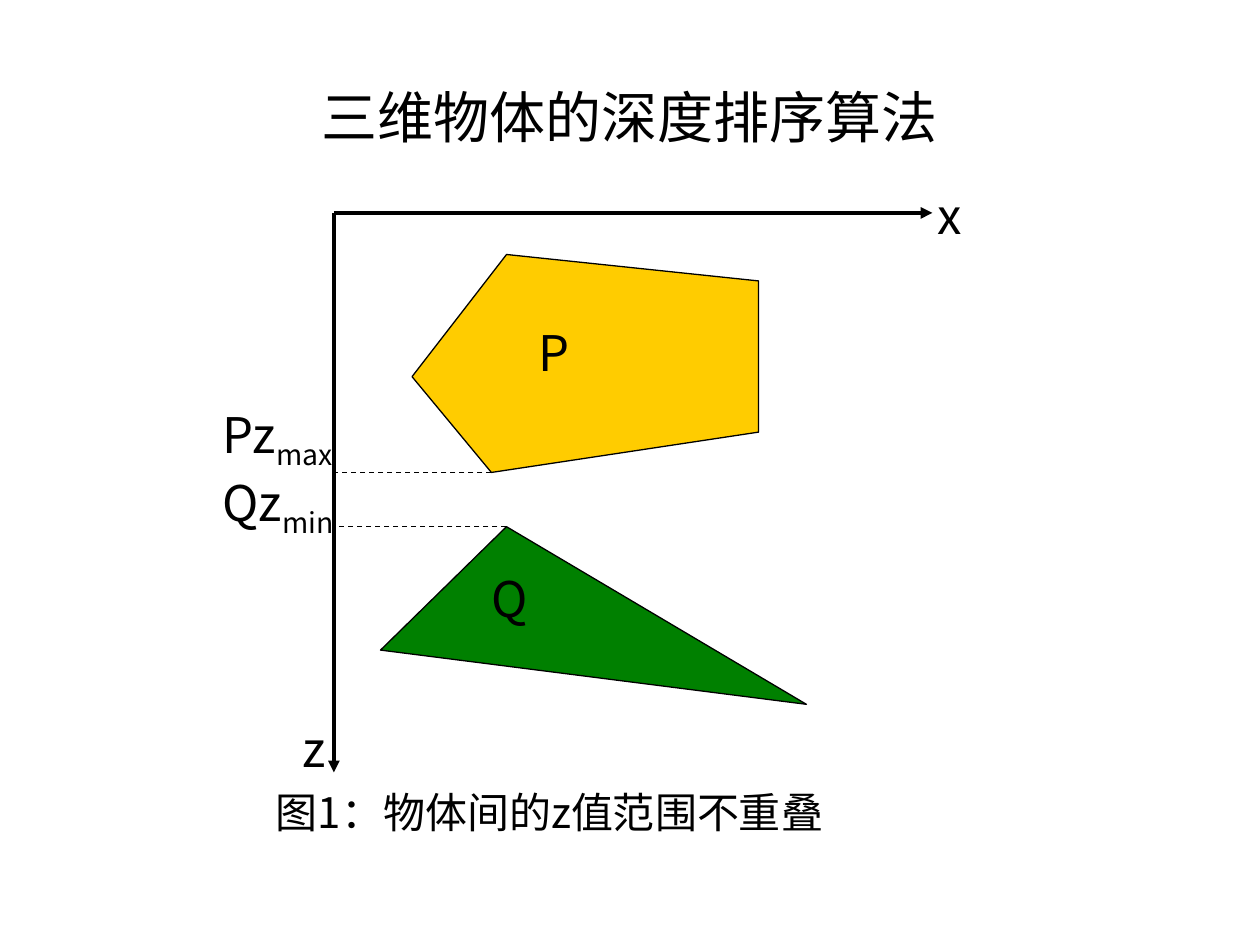
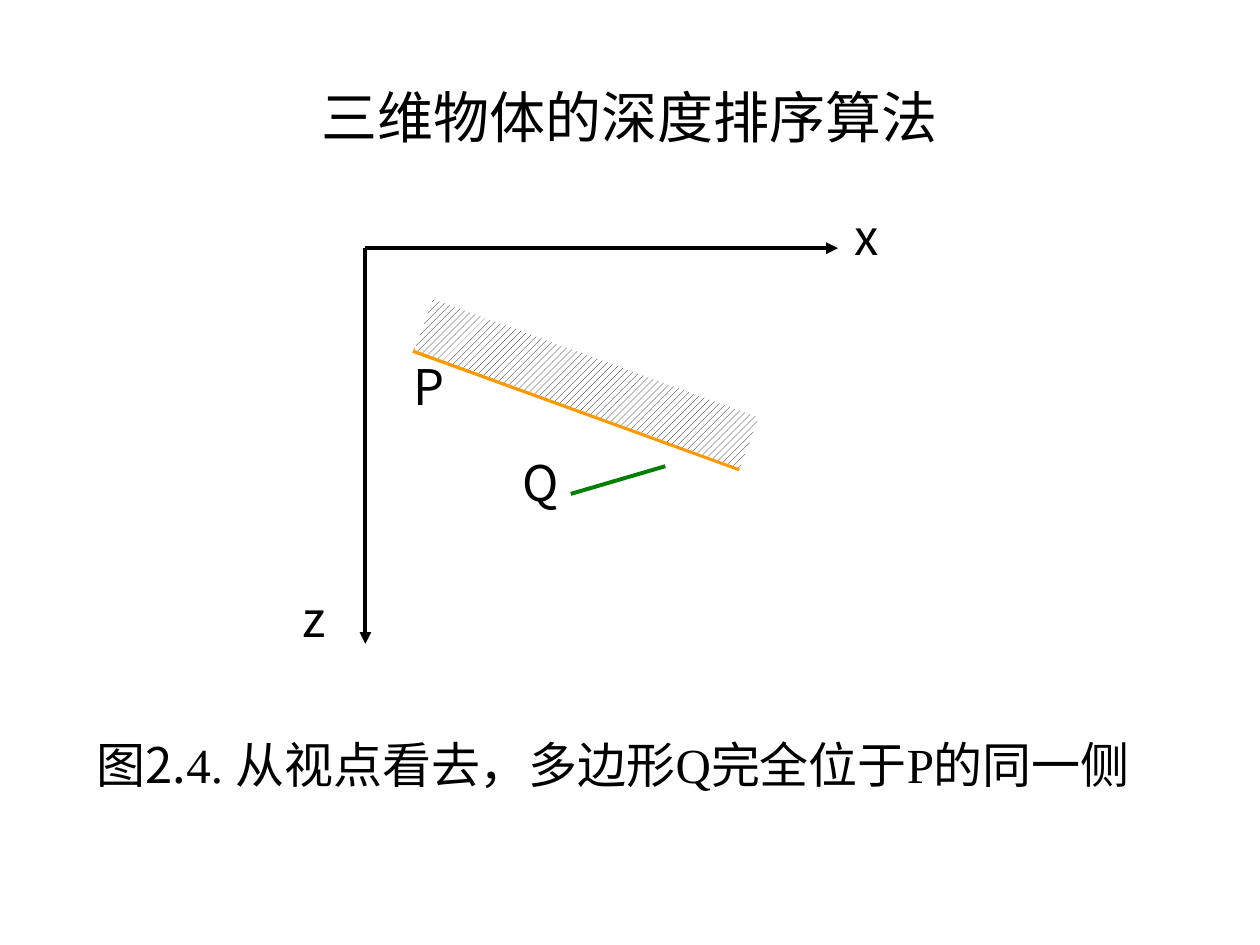
from pptx import Presentation
from pptx import util as u
from pptx.dml.color import RGBColor
from pptx.enum import dml, shapes, text
from pptx.oxml import ns
from lxml import etree

PX = u.Inches(1) // 100
SANS, SERIF = "Noto Sans CJK SC", "Times New Roman"
COLORS = {"ink": "000000", "paper": "FFFFFF", "gold": "FFCC00",
          "green": "008000", "orange": "FF9900"}
TITLE = "三维物体的深度排序算法"
TITLE_BOX = (50, 30, 900, 125)
ALIGN, ANCHOR = text.PP_ALIGN, text.MSO_ANCHOR


def color(name):
    return RGBColor.from_string(COLORS[name])


def add_span(para, words, size, font=SANS, baseline=0):
    span = para.add_run()
    span.text = words
    span.font.size = u.Pt(size)
    span.font.name = font
    span.font.color.rgb = color("ink")
    props = span._r.get_or_add_rPr()
    etree.SubElement(props, ns.qn("a:ea"), typeface=SANS)
    if baseline:
        props.set("baseline", str(baseline * 1000))


def add_text(page, box, align, anchor=ANCHOR.TOP, inset=True):
    frame = page.shapes.add_textbox(*(n * PX for n in box)).text_frame
    frame.word_wrap = True
    frame.vertical_anchor = anchor
    if not inset:
        frame.margin_left = frame.margin_right = 0
        frame.margin_top = frame.margin_bottom = 0
    para = frame.paragraphs[0]
    para.alignment = align
    return para


def add_title(page, box):
    add_span(add_text(page, box, ALIGN.CENTER, ANCHOR.MIDDLE), TITLE, 32)


def add_caption(page, box, size, *parts):
    para = add_text(page, box, ALIGN.LEFT)
    for words, font in parts:
        add_span(para, words, size, font)


def add_label(page, box, x, y, name, subscript=""):
    width = 100 if subscript else 38
    para = add_text(page, (box[0] + x, box[1] + y, width, 65), ALIGN.JUSTIFY, inset=False)
    add_span(para, name, 28)
    if subscript:
        add_span(para, subscript, 28, baseline=-25)


def add_line(page, box, start, end, width, tint="ink", arrow=False, dashed=False):
    ends = [(origin + n) * PX for point in (start, end) for origin, n in zip(box, point)]
    line = page.shapes.add_connector(shapes.MSO_CONNECTOR.STRAIGHT, *ends)
    line.line.width = u.Pt(width)
    line.line.color.rgb = color(tint)
    if dashed:
        line.line.dash_style = dml.MSO_LINE.DASH
    if arrow:
        etree.SubElement(line.line._get_or_add_ln(), ns.qn("a:tailEnd"), type="triangle")
    etree.SubElement(line._element.spPr, ns.qn("a:effectLst"))


def add_axes(page, box, z_label, x_label):
    for end in ((0, box[3]), (box[2], 0)):
        add_line(page, box, (0, 0), end, 2.25, arrow=True)
    add_label(page, box, *z_label, "z")
    add_label(page, box, *x_label, "x")


def add_polygon(page, box, points, tint):
    builder = page.shapes.build_freeform(*points[0], scale=PX)
    builder.add_line_segments(points[1:], close=True)
    polygon = builder.convert_to_shape(box[0] * PX, box[1] * PX)
    polygon.shadow.inherit = False
    polygon.fill.solid()
    polygon.fill.fore_color.rgb = color(tint)
    polygon.line.color.rgb = color("ink")
    polygon.line.width = u.Pt(0.75)


def draw_depth_ranges(page, box):
    p_lowest, q_highest = (125, 206), (137, 249)
    add_axes(page, box, (-25, 401), (479, -22))
    add_polygon(page, box, [(137, 33), (62, 130), p_lowest, (337, 174), (337, 54)], "gold")
    add_polygon(page, box, [q_highest, (37, 347), (375, 390)], "green")
    for corner in (q_highest, p_lowest):
        add_line(page, box, corner, (0, corner[1]), 0.75, dashed=True)
    add_label(page, box, 162, 87, "P")
    add_label(page, box, 125, 282, "Q")
    add_label(page, box, -88, 152, "Pz", "max")
    add_label(page, box, -88, 206, "Qz", "min")


def add_hatched_side(page, box):
    side = page.shapes.add_shape(shapes.MSO_SHAPE.RECTANGLE, *(n * PX for n in box))
    side.rotation = 20
    side.shadow.inherit = False
    side.line.fill.background()
    side.fill.patterned()
    side.fill.pattern = dml.MSO_PATTERN.WIDE_UPWARD_DIAGONAL
    side.fill.fore_color.rgb = color("ink")
    side.fill.back_color.rgb = color("paper")


def draw_same_side(page, box):
    add_axes(page, box, (-50, 270), (388, -33))
    add_label(page, box, 38, 86, "P")
    add_label(page, box, 125, 162, "Q")
    add_line(page, box, (163, 195), (238, 173), 2.25, "green")
    add_line(page, box, (38, 81), (297, 175), 3, "orange")
    add_hatched_side(page, (box[0] + 38, box[1] + 86, 275, 43))


def add_page(deck):
    page = deck.slides.add_slide(deck.slide_layouts[6])
    add_title(page, TITLE_BOX)
    return page


def main():
    deck = Presentation()
    deck.slide_width, deck.slide_height = 1000 * PX, 750 * PX

    page = add_page(deck)
    draw_depth_ranges(page, (265, 169, 475, 444))
    add_caption(page, (209, 619, 622, 50), 24, ("图1：物体间的z值范围不重叠", SANS))

    page = add_page(deck)
    draw_same_side(page, (290, 197, 375, 314))
    add_caption(page, (67, 578, 847, 57), 28, ("图2.", SANS),
                ("4. 从视点看去，多边形Q完全位于P的同一侧", SERIF))

    deck.save("out.pptx")


if __name__ == "__main__":
    main()
